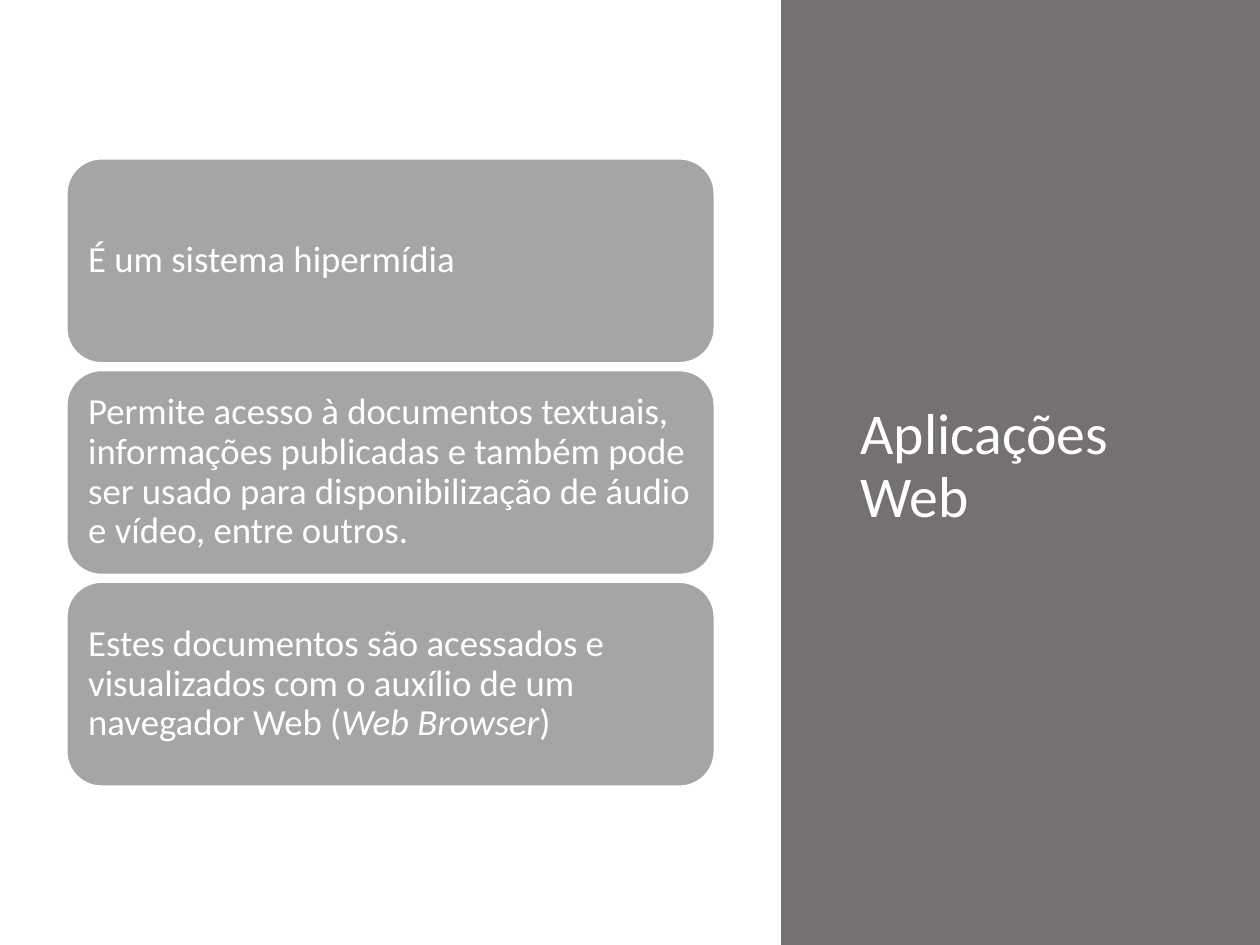
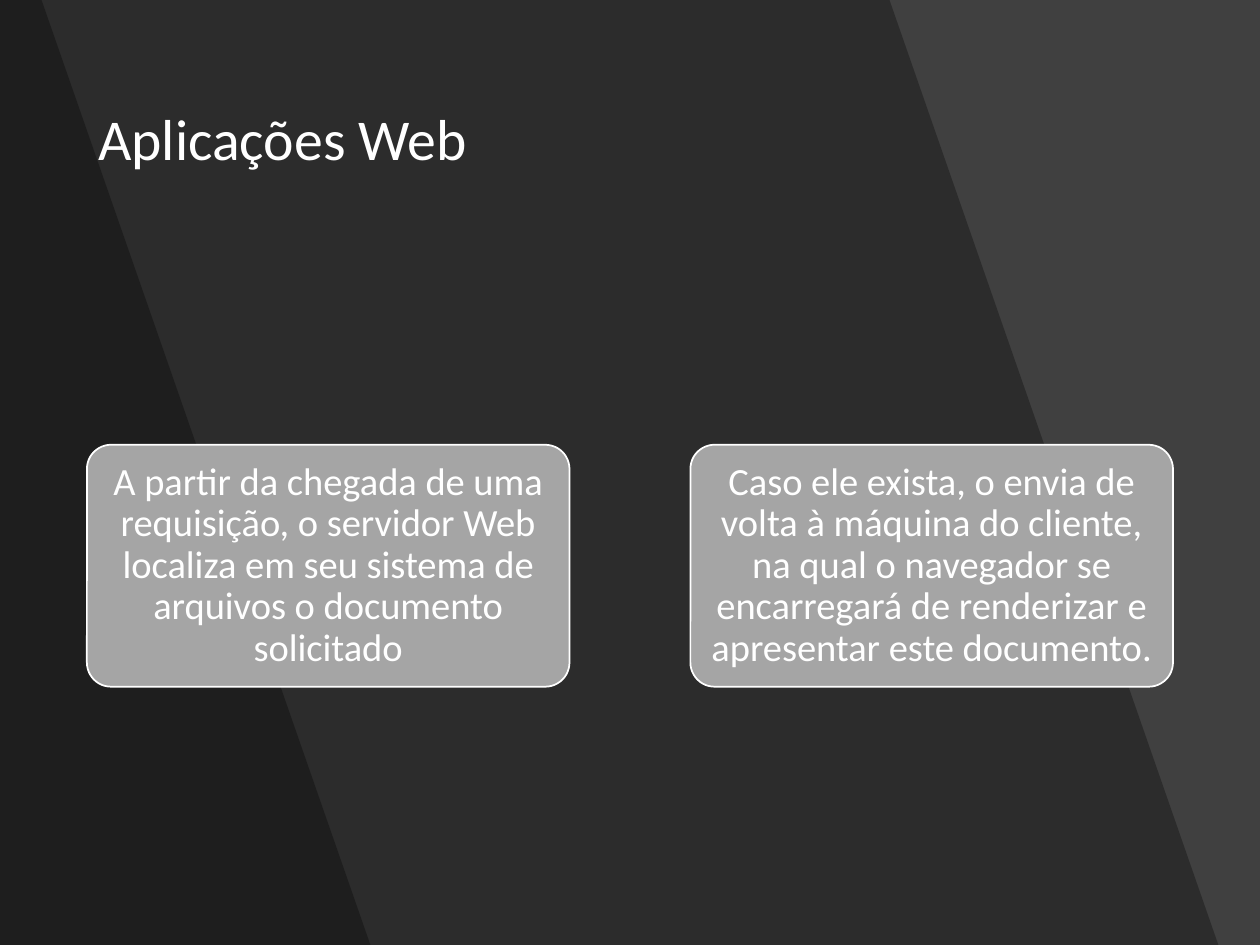
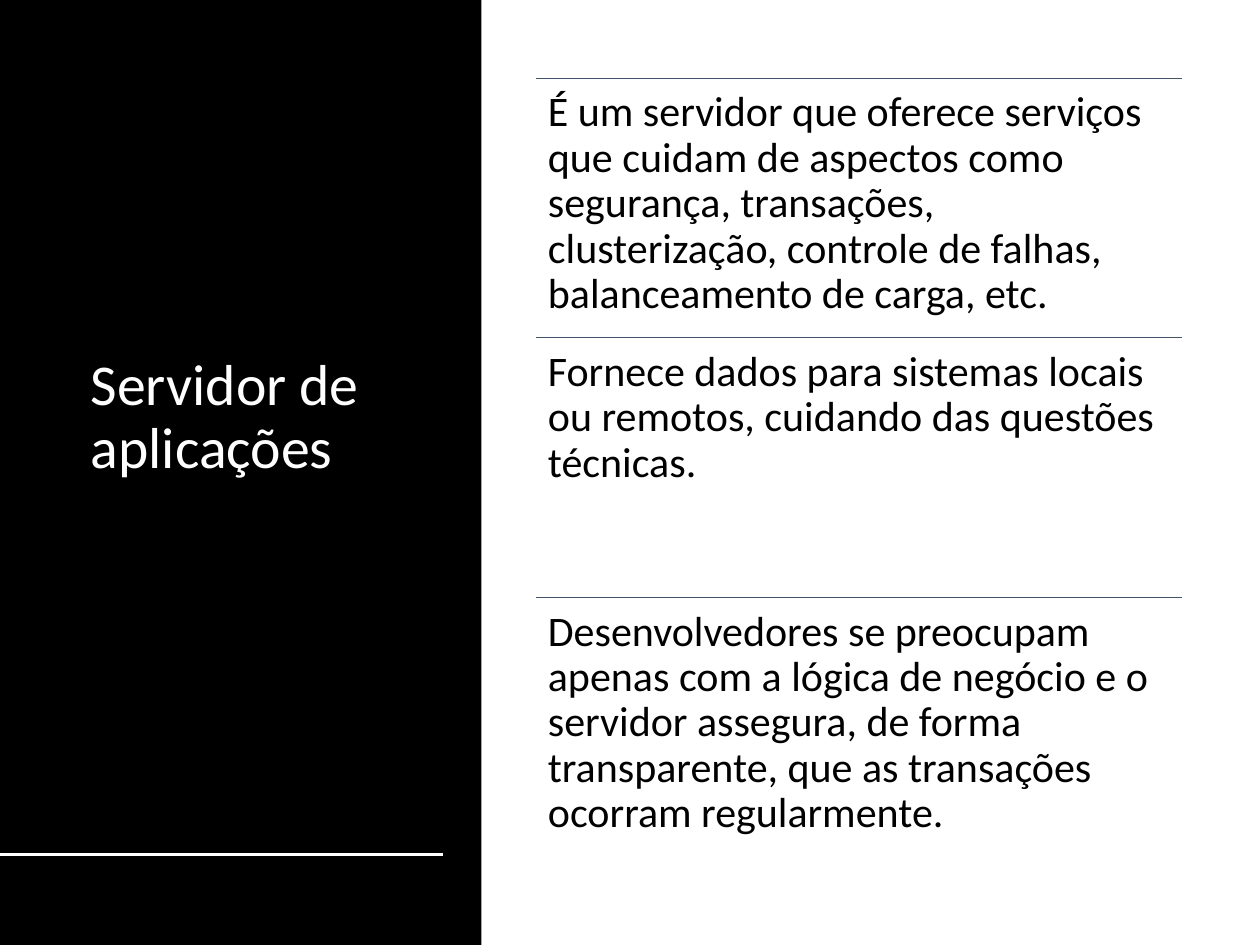
from lxml.etree import SubElement
from pptx import Presentation
from pptx.dml.color import RGBColor
from pptx.enum.shapes import MSO_CONNECTOR, MSO_SHAPE
from pptx.enum.text import MSO_ANCHOR, MSO_AUTO_SIZE, PP_ALIGN
from pptx.oxml.ns import qn
from pptx.util import Inches, Pt

FONT = "Calibri"
WHITE = RGBColor(0xFF, 0xFF, 0xFF)
BLACK = RGBColor(0x00, 0x00, 0x00)
CHARCOAL = RGBColor(0x40, 0x40, 0x40)
PANEL_GRAY = RGBColor(0x76, 0x71, 0x71)
CARD_GRAY = RGBColor(0xA5, 0xA5, 0xA5)
RULE_BLUE = RGBColor(0x44, 0x54, 0x6A)


def write_text(box, parts, size, color, align, anchor, inset_x, inset_y):
    frame = box.text_frame
    frame.word_wrap = True
    frame.auto_size = MSO_AUTO_SIZE.NONE
    frame.vertical_anchor = anchor
    frame.margin_left = frame.margin_right = Inches(inset_x)
    frame.margin_top = frame.margin_bottom = Inches(inset_y)
    para = frame.paragraphs[0]
    para.alignment = align
    para.line_spacing = 0.9
    para.font.name = FONT
    para.font.size = Pt(size)
    para.font.color.rgb = color
    for index, part in enumerate(parts):
        span = para.add_run()
        span.text = part
        if index % 2:
            span.font.italic = True


deck = Presentation()
deck.slide_width = Inches(10)
deck.slide_height = Inches(7.5)
title_only = deck.slide_layouts[5]
hypermedia, request, server = [deck.slides.add_slide(title_only) for _ in range(3)]

for page, color in [(hypermedia, WHITE), (request, CHARCOAL), (server, WHITE)]:
    page.background.fill.solid()
    page.background.fill.fore_color.rgb = color

for page, left, width, color in [
    (hypermedia, 6.2, 3.8, PANEL_GRAY),
    (server, 0, 3.82, BLACK),
]:
    panel = page.shapes.add_shape(
        MSO_SHAPE.RECTANGLE, Inches(left), 0, Inches(width), deck.slide_height
    )
    panel.shadow.inherit = False
    panel.fill.solid()
    panel.fill.fore_color.rgb = color
    panel.line.fill.background()

for top_edge, bottom_edge in [(7.06, 9.67), (0.33, 2.94)]:
    builder = request.shapes.build_freeform(0, 0)
    builder.add_line_segments(
        [
            (Inches(top_edge), 0),
            (Inches(bottom_edge), deck.slide_height),
            (0, deck.slide_height),
        ]
    )
    shade = builder.convert_to_shape()
    shade.shadow.inherit = False
    shade.fill.solid()
    shade.fill.fore_color.rgb = BLACK
    shade.line.fill.background()
    shade_color = shade.element.spPr.find(qn("a:solidFill"))[0]
    SubElement(shade_color, qn("a:alpha"), val="30000")

for page, text, left, top, width, height in [
    (hypermedia, "Aplicações Web", 6.73, 0.7, 3.01, 6.02),
    (request, "Aplicações Web", 0.68, 0.4, 8.63, 1.45),
    (server, "Servidor de aplicações", 0.62, 0.61, 2.93, 5.42),
]:
    title = page.shapes.title
    title.left, title.top = Inches(left), Inches(top)
    title.width, title.height = Inches(width), Inches(height)
    write_text(title, [text], 33, WHITE, PP_ALIGN.LEFT, MSO_ANCHOR.MIDDLE, 0.1, 0.05)
    title.element.getparent().append(title.element)

hypermedia_texts = [
    ["É um sistema hipermídia"],
    [
        "Permite acesso à documentos textuais, informações publicadas e também "
        "pode ser usado para disponibilização de áudio e vídeo, entre outros."
    ],
    [
        "Estes documentos são acessados e visualizados com o auxílio de um "
        "navegador Web (",
        "Web Browser",
        ")",
    ],
]
request_texts = [
    [
        "A partir da chegada de uma requisição, o servidor Web localiza em seu "
        "sistema de arquivos o documento solicitado"
    ],
    [
        "Caso ele exista, o envia de volta à máquina do cliente, na qual o navegador "
        "se encarregará de renderizar e apresentar este documento."
    ],
]
server_texts = [
    "É um servidor que oferece serviços que cuidam de aspectos como segurança, "
    "transações, clusterização, controle de falhas, balanceamento de carga, etc.",
    "Fornece dados para sistemas locais ou remotos, cuidando das questões técnicas.",
    "Desenvolvedores se preocupam apenas com a lógica de negócio e o servidor "
    "assegura, de forma transparente, que as transações ocorram regularmente.",
]

for page, texts, left, top, step_x, step_y, width, height, corner, size, align, inset_x, inset_y in [
    (hypermedia, hypermedia_texts, 0.53, 1.26, 0, 1.68, 5.14, 1.62, 0.17, 21, PP_ALIGN.LEFT, 0.09, 0.09),
    (request, request_texts, 0.69, 3.53, 4.79, 0, 3.83, 1.92, 0.1, 22, PP_ALIGN.CENTER, 0.05, 0.03),
]:
    for index, parts in enumerate(texts):
        card = page.shapes.add_shape(
            MSO_SHAPE.ROUNDED_RECTANGLE,
            Inches(left + index * step_x),
            Inches(top + index * step_y),
            Inches(width),
            Inches(height),
        )
        card.adjustments[0] = corner
        card.shadow.inherit = False
        card.fill.solid()
        card.fill.fore_color.rgb = CARD_GRAY
        card.line.color.rgb = WHITE
        card.line.width = Pt(1)
        write_text(card, parts, size, WHITE, align, MSO_ANCHOR.MIDDLE, inset_x, inset_y)

row_height = 2.06
row_tops = [0.62 + index * row_height for index in range(len(server_texts))]

rules = [(0, 3.52, 6.78, WHITE, 2)]
rules += [(4.25, 9.38, top, RULE_BLUE, 0.5) for top in row_tops]
for start, end, height, color, weight in rules:
    rule = server.shapes.add_connector(
        MSO_CONNECTOR.STRAIGHT, Inches(start), Inches(height), Inches(end), Inches(height)
    )
    rule.line.color.rgb = color
    rule.line.width = Pt(weight)
    SubElement(rule.element.spPr, qn("a:effectLst"))

for top, text in zip(row_tops, server_texts):
    row = server.shapes.add_textbox(
        Inches(4.25), Inches(top), Inches(5.12), Inches(row_height)
    )
    write_text(row, [text], 24, BLACK, PP_ALIGN.LEFT, MSO_ANCHOR.TOP, 0.1, 0.1)

deck.save("out.pptx")
